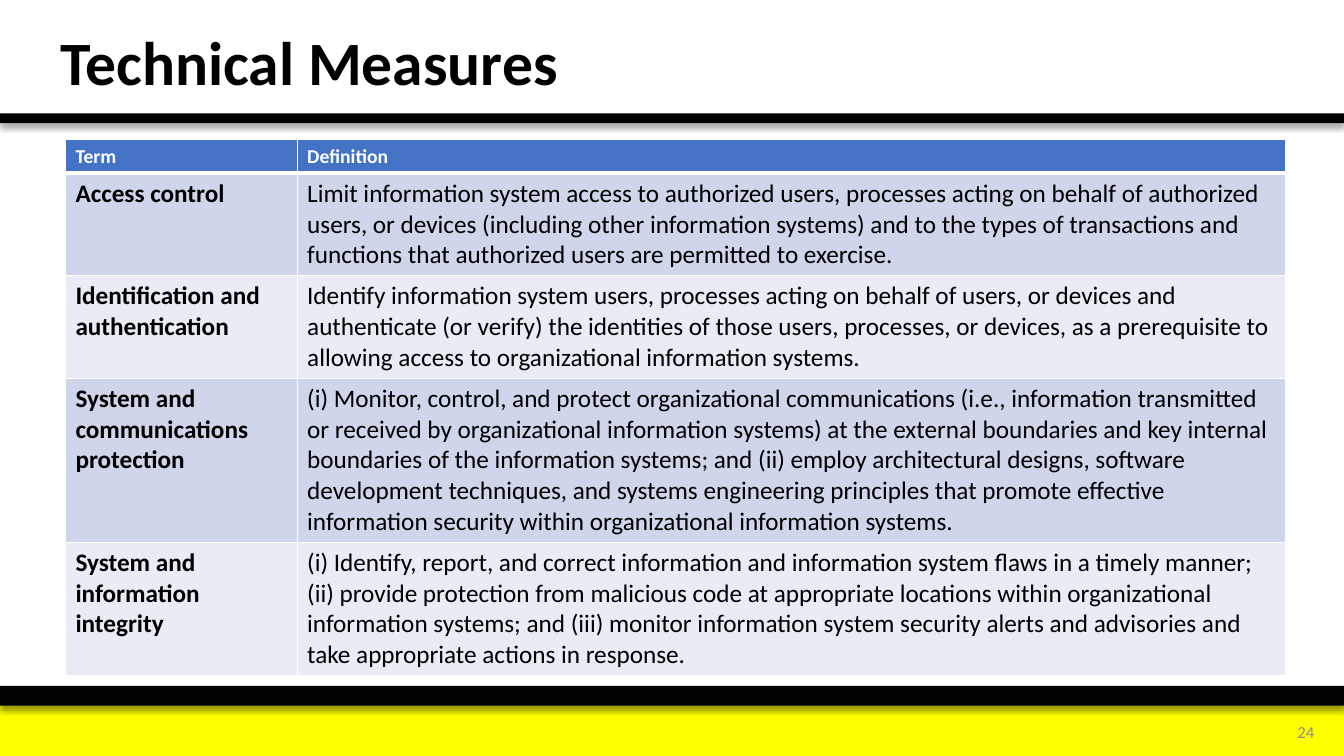
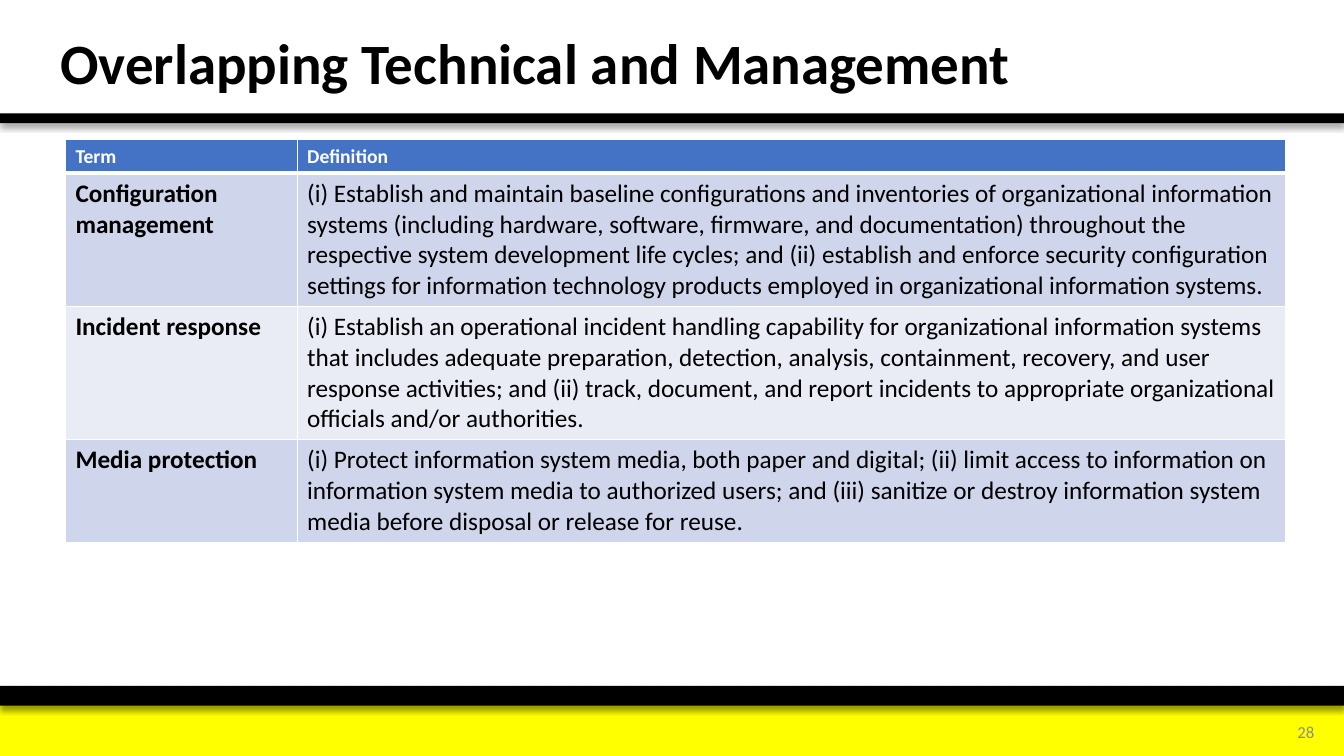
from lxml import etree
from pptx import Presentation
from pptx.dml.color import RGBColor
from pptx.enum import shapes, text
from pptx.oxml import ns
from pptx.util import Pt

BLACK = RGBColor(0x00, 0x00, 0x00)
WHITE = RGBColor(0xFF, 0xFF, 0xFF)
YELLOW = RGBColor(0xFF, 0xFF, 0x00)
GREY = RGBColor(0x8C, 0x8C, 0x8C)
BLUE = RGBColor(0x44, 0x72, 0xC4)
STRIPES = (RGBColor(0xCF, 0xD5, 0xEA), RGBColor(0xE9, 0xEB, 0xF5))

FONT = "Calibri"
WIDTH, HEIGHT = 960, 540
HEADER_HEIGHT, LINE_HEIGHT, CELL_PADDING = 24, 22, 7.2
COLUMN_WIDTHS = (165.5, 706)


def write(frame, words, size=18, color=BLACK, bold=False,
          align=text.PP_ALIGN.LEFT, spacing=None):
    """Fill a text frame with one formatted paragraph."""
    paragraph = frame.paragraphs[0]
    paragraph.alignment = align
    if spacing:
        paragraph.line_spacing = spacing
    run = paragraph.add_run()
    run.text = words
    run.font.name = FONT
    run.font.size = Pt(size)
    run.font.bold = bold
    run.font.color.rgb = color


def add_shadow(shape):
    """Give a shape a soft shadow straight below it."""
    effects = shape._element.spPr.find(ns.qn("a:effectLst"))
    shadow = etree.SubElement(effects, ns.qn("a:outerShdw"), blurRad=str(Pt(4)),
                              dist=str(Pt(3)), dir="5400000", algn="t", rotWithShape="0")
    color = etree.SubElement(shadow, ns.qn("a:srgbClr"), val=str(BLACK))
    etree.SubElement(color, ns.qn("a:alpha"), val="40000")


def add_borders(cell, top=1, bottom=1):
    """Draw white borders around a cell; call before filling it."""
    properties = cell._tc.get_or_add_tcPr()
    for side, weight in (("L", 1), ("R", 1), ("T", top), ("B", bottom)):
        line = etree.SubElement(properties, ns.qn(f"a:ln{side}"), w=str(Pt(weight)))
        fill = etree.SubElement(line, ns.qn("a:solidFill"))
        etree.SubElement(fill, ns.qn("a:srgbClr"), val=str(WHITE))


class Deck:
    def __init__(self):
        self.presentation = Presentation()
        self.presentation.slide_width = Pt(WIDTH)
        self.presentation.slide_height = Pt(HEIGHT)
        self.slide = None

    def add_slide(self, title, number, definitions):
        layout = self.presentation.slide_layouts[6]
        self.slide = self.presentation.slides.add_slide(layout)
        # Footer bands and title rule
        footer = self.slide.shapes.add_group_shape()
        self.band(footer.shapes, 504, 36, YELLOW)
        self.band(footer.shapes, 490, 14, BLACK, shadow=True)
        self.band(self.slide.shapes, 81, 7, BLACK, shadow=True)
        # Slide number and title
        self.label(str(number), 891.5, 508.5, 54.5, 28.75, size=12, color=GREY,
                   align=text.PP_ALIGN.RIGHT)
        heading, size = title
        self.label(heading, 36, 6.5, 697, 81, size=size, bold=True, spacing=0.9)
        # Terms
        self.term_table(definitions)

    def band(self, parent, top, height, color, shadow=False):
        bar = parent.add_shape(shapes.MSO_SHAPE.RECTANGLE,
                               Pt(0), Pt(top), Pt(WIDTH), Pt(height))
        bar.fill.solid()
        bar.fill.fore_color.rgb = color
        bar.line.fill.background()
        bar.shadow.inherit = False
        if shadow:
            add_shadow(bar)

    def label(self, words, left, top, width, height, **style):
        box = self.slide.shapes.add_textbox(Pt(left), Pt(top), Pt(width), Pt(height))
        box.text_frame.word_wrap = True
        box.text_frame.vertical_anchor = text.MSO_ANCHOR.MIDDLE
        write(box.text_frame, words, **style)

    def term_table(self, definitions):
        heights = [HEADER_HEIGHT] + [lines * LINE_HEIGHT + CELL_PADDING
                                     for _, _, lines in definitions]
        table = self.slide.shapes.add_table(
            len(heights), len(COLUMN_WIDTHS), Pt(46.75), Pt(99.75),
            Pt(sum(COLUMN_WIDTHS)), Pt(sum(heights))).table
        table.horz_banding = False
        for column, width in zip(table.columns, COLUMN_WIDTHS):
            column.width = Pt(width)
        for row, height in zip(table.rows, heights):
            row.height = Pt(height)
        # Header row
        for column, heading in enumerate(("Term", "Definition")):
            self.cell(table.cell(0, column), heading, BLUE, bottom=3,
                      size=14, color=WHITE, bold=True)
        # Striped body rows
        for row, (term, definition, _) in enumerate(definitions, 1):
            stripe = STRIPES[(row - 1) % 2]
            top = 3 if row == 1 else 1
            self.cell(table.cell(row, 0), term, stripe, top=top, bold=True)
            self.cell(table.cell(row, 1), definition, stripe, top=top)

    def cell(self, cell, words, fill, top=1, bottom=1, **style):
        add_borders(cell, top, bottom)
        cell.fill.solid()
        cell.fill.fore_color.rgb = fill
        write(cell.text_frame, words, **style)


# Each entry: term, definition, number of text lines
TECHNICAL = [
    ("Access control",
     "Limit information system access to authorized users, processes acting on behalf of "
     "authorized users, or devices (including other information systems) and to the types of "
     "transactions and functions that authorized users are permitted to exercise.", 3),
    ("Identification and authentication",
     "Identify information system users, processes acting on behalf of users, or devices and "
     "authenticate (or verify) the identities of those users, processes, or devices, as a "
     "prerequisite to allowing access to organizational information systems.", 3),
    ("System and communications protection",
     "(i) Monitor, control, and protect organizational communications (i.e., information "
     "transmitted or received by organizational information systems) at the external "
     "boundaries and key internal boundaries of the information systems; and (ii) employ "
     "architectural designs, software development techniques, and systems engineering "
     "principles that promote effective information security within organizational "
     "information systems.", 5),
    ("System and information integrity",
     "(i) Identify, report, and correct information and information system flaws in a timely "
     "manner; (ii) provide protection from malicious code at appropriate locations within "
     "organizational information systems; and (iii) monitor information system security "
     "alerts and advisories and take appropriate actions in response.", 4),
]
OVERLAPPING = [
    ("Configuration management",
     "(i) Establish and maintain baseline configurations and inventories of organizational "
     "information systems (including hardware, software, firmware, and documentation) "
     "throughout the respective system development life cycles; and (ii) establish and "
     "enforce security configuration settings for information technology products employed "
     "in organizational information systems.", 4),
    ("Incident response",
     "(i) Establish an operational incident handling capability for organizational "
     "information systems that includes adequate preparation, detection, analysis, "
     "containment, recovery, and user response activities; and (ii) track, document, and "
     "report incidents to appropriate organizational officials and/or authorities.", 4),
    ("Media protection",
     "(i) Protect information system media, both paper and digital; (ii) limit access to "
     "information on information system media to authorized users; and (iii) sanitize or "
     "destroy information system media before disposal or release for reuse.", 3),
]


def main():
    deck = Deck()
    deck.add_slide(("Technical Measures", 44), 24, TECHNICAL)
    deck.add_slide(("Overlapping Technical and Management", 40.7), 28, OVERLAPPING)
    deck.presentation.save("out.pptx")


if __name__ == "__main__":
    main()
